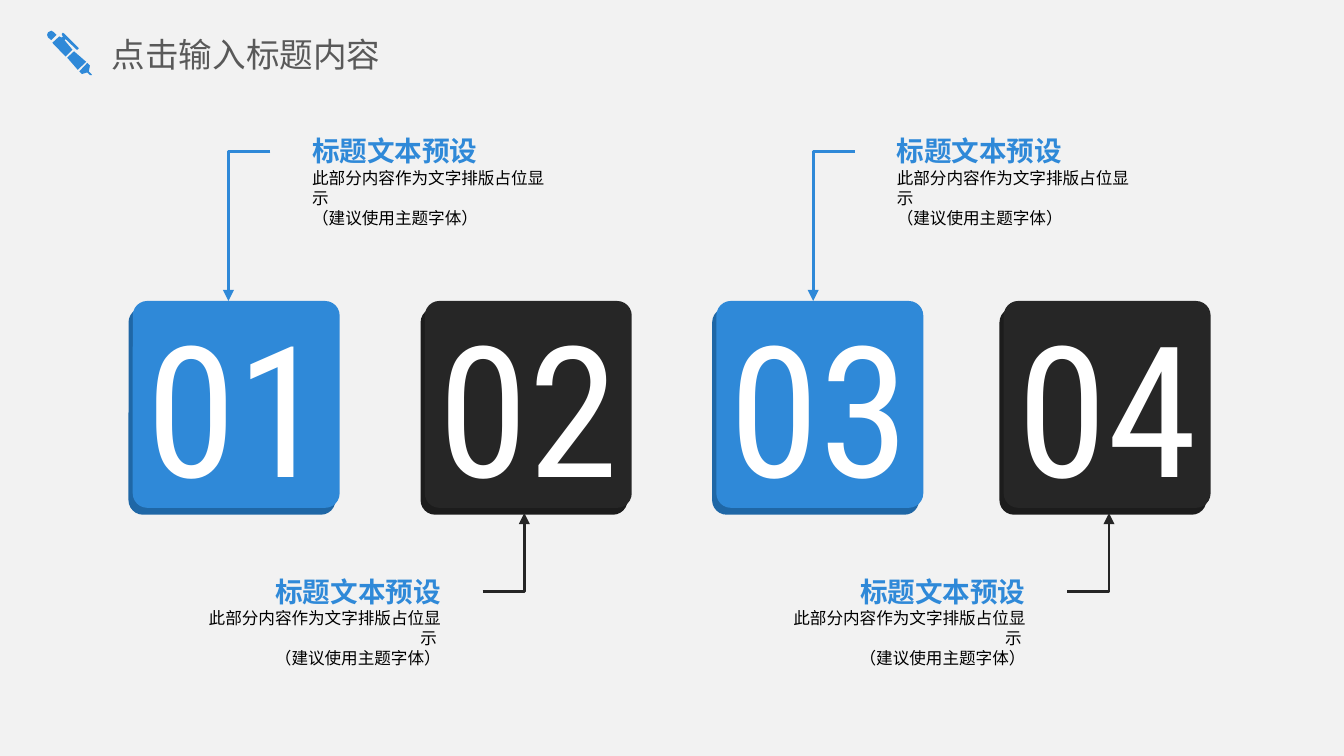
from dataclasses import dataclass

from lxml import etree
from pptx import Presentation
from pptx.dml.color import RGBColor
from pptx.enum.shapes import MSO_CONNECTOR, MSO_SHAPE
from pptx.enum.text import MSO_ANCHOR, MSO_AUTO_SIZE, PP_ALIGN
from pptx.oxml.ns import qn
from pptx.util import Cm, Pt

ROUND = MSO_SHAPE.ROUNDED_RECTANGLE
ELBOW = MSO_CONNECTOR.ELBOW
MIDDLE = MSO_ANCHOR.MIDDLE
LEFT, CENTER, RIGHT = PP_ALIGN.LEFT, PP_ALIGN.CENTER, PP_ALIGN.RIGHT

BLUE, DARK_BLUE = "2F89D8", "1F67A6"
BLACK, DARK_BLACK = "262626", "1C1C1C"
TILE, TILE_TOP = 3.91, 5.69
ARM, CAPTION_W, HEADING_H, BODY_H = 0.79, 5.97, 0.61, 1.17
HEADING = "标题文本预设"
BODY = "此部分内容作为文字排版占位显示 \v（建议使用主题字体）"

PEN = [
    [(165, 119), (150, 135), (155, 140), (165, 137), (170, 142), (174, 142),
     (173, 140), (168, 135), (170, 124)],
    [(140, 97), (127, 109), (147, 132), (163, 117)],
    [(122, 64), (119, 62), (117, 64), (117, 66), (119, 69), (117, 71),
     (112, 69), (99, 81), (124, 107), (137, 94), (122, 76), (124, 74),
     (145, 94), (147, 94), (149, 91), (147, 89)],
    [(97, 58), (91, 61), (89, 66), (91, 71), (97, 76), (107, 66), (102, 61)],
]


@dataclass
class Step:
    number: str
    left: float
    arrow_x: float
    above: bool


STEPS = [
    Step("01", 2.51, 4.32, True),
    Step("02", 8.03, 9.91, False),
    Step("03", 13.54, 15.37, True),
    Step("04", 18.97, 20.96, False),
]


def rgb(value: str) -> RGBColor:
    return RGBColor.from_string(value)


def fill_plain(sp, color: str) -> None:
    sp.shadow.inherit = False
    sp.fill.solid()
    sp.fill.fore_color.rgb = rgb(color)
    sp.line.fill.background()


def write(sp, text: str, size: float, font: str, color: str, align,
          bold: bool = False, inset_x: float = 0, inset_y: float = 0,
          wrap: bool = True) -> None:
    tf = sp.text_frame
    tf.auto_size = MSO_AUTO_SIZE.NONE
    tf.word_wrap = wrap
    tf.vertical_anchor = MIDDLE
    tf.margin_left = tf.margin_right = Cm(inset_x)
    tf.margin_top = tf.margin_bottom = Cm(inset_y)
    p = tf.paragraphs[0]
    p.text = text
    p.alignment = align
    p.font.size = Pt(size)
    p.font.name = font
    p.font.bold = bold
    p.font.color.rgb = rgb(color)


def add_pen(slide) -> None:
    builder = slide.shapes.build_freeform(*PEN[0][0], scale=Cm(0.01))
    builder.add_line_segments(PEN[0][1:])
    for part in PEN[1:]:
        builder.move_to(*part[0])
        builder.add_line_segments(part[1:])
    fill_plain(builder.convert_to_shape(), BLUE)


def add_tile(slide, left: float, top: float, color: str):
    sp = slide.shapes.add_shape(ROUND, Cm(left), Cm(top), Cm(TILE), Cm(TILE))
    sp.adjustments[0] = 0.07
    fill_plain(sp, color)
    return sp


def add_arrow(slide, x1: float, y1: float, x2: float, y2: float,
              color: str) -> None:
    line = slide.shapes.add_connector(ELBOW, Cm(x1), Cm(y1), Cm(x2), Cm(y2))
    line.line.color.rgb = rgb(color)
    line.line.width = Pt(1.5)
    props = line._element.spPr
    props.find(qn("a:prstGeom")).set("prst", "bentConnector2")
    etree.SubElement(props.find(qn("a:ln")), qn("a:tailEnd"), type="triangle")
    etree.SubElement(props, qn("a:effectLst"))


def add_caption(slide, left: float, top: float, align) -> None:
    rows = [(HEADING, top, HEADING_H, 14.8, BLUE, True),
            (BODY, top + HEADING_H, BODY_H, 8.9, "000000", False)]
    for text, y, height, size, color, bold in rows:
        sp = slide.shapes.add_textbox(Cm(left), Cm(y), Cm(CAPTION_W), Cm(height))
        write(sp, text, size, "Calibri", color, align, bold, inset_x=ARM)


def add_step(slide, step: Step) -> None:
    front, back = (BLUE, DARK_BLUE) if step.above else (BLACK, DARK_BLACK)
    add_tile(slide, step.left - 0.08, TILE_TOP + 0.13, back)
    sp = add_tile(slide, step.left, TILE_TOP, front)
    write(sp, step.number, 97.8, "Roboto Condensed", "FFFFFF", CENTER, wrap=False)
    if step.above:
        start = step.arrow_x + ARM
        add_arrow(slide, start, 2.87, step.arrow_x, TILE_TOP, front)
        add_caption(slide, start, 2.54, LEFT)
    else:
        start = step.arrow_x - ARM
        add_arrow(slide, start, 11.18, step.arrow_x, 9.7, front)
        add_caption(slide, start - CAPTION_W, 10.87, RIGHT)


def main() -> None:
    prs = Presentation()
    prs.slide_width, prs.slide_height = Cm(25.4), Cm(14.29)
    slide = prs.slides.add_slide(prs.slide_layouts[5])
    slide.background.fill.solid()
    slide.background.fill.fore_color.rgb = rgb("F2F2F2")

    title = slide.shapes.title
    title.left, title.top = Cm(2.11), Cm(0.48)
    title.width, title.height = Cm(5.92), Cm(1.07)
    write(title, "点击输入标题内容", 18, "Noto Sans CJK SC", "595959", LEFT,
          inset_y=0.13)

    add_pen(slide)
    for step in STEPS:
        add_step(slide, step)
    prs.save("out.pptx")


if __name__ == "__main__":
    main()
